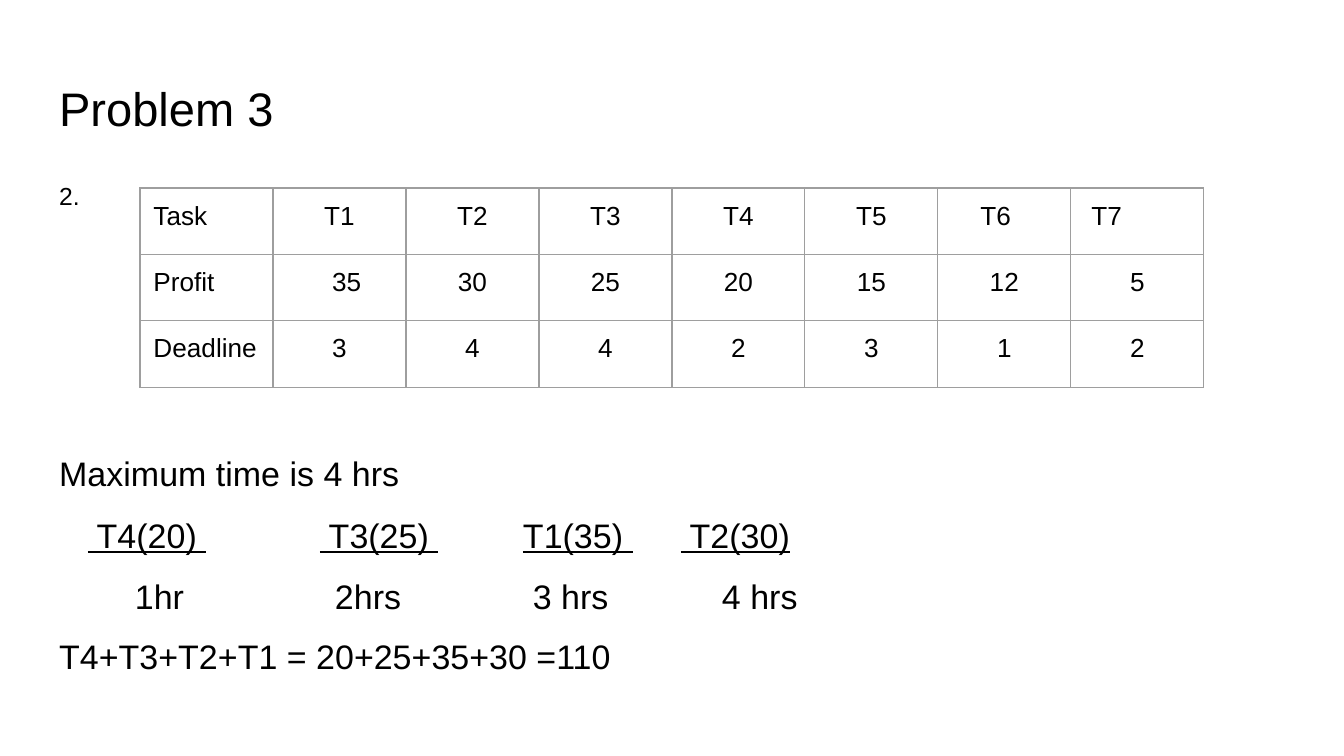
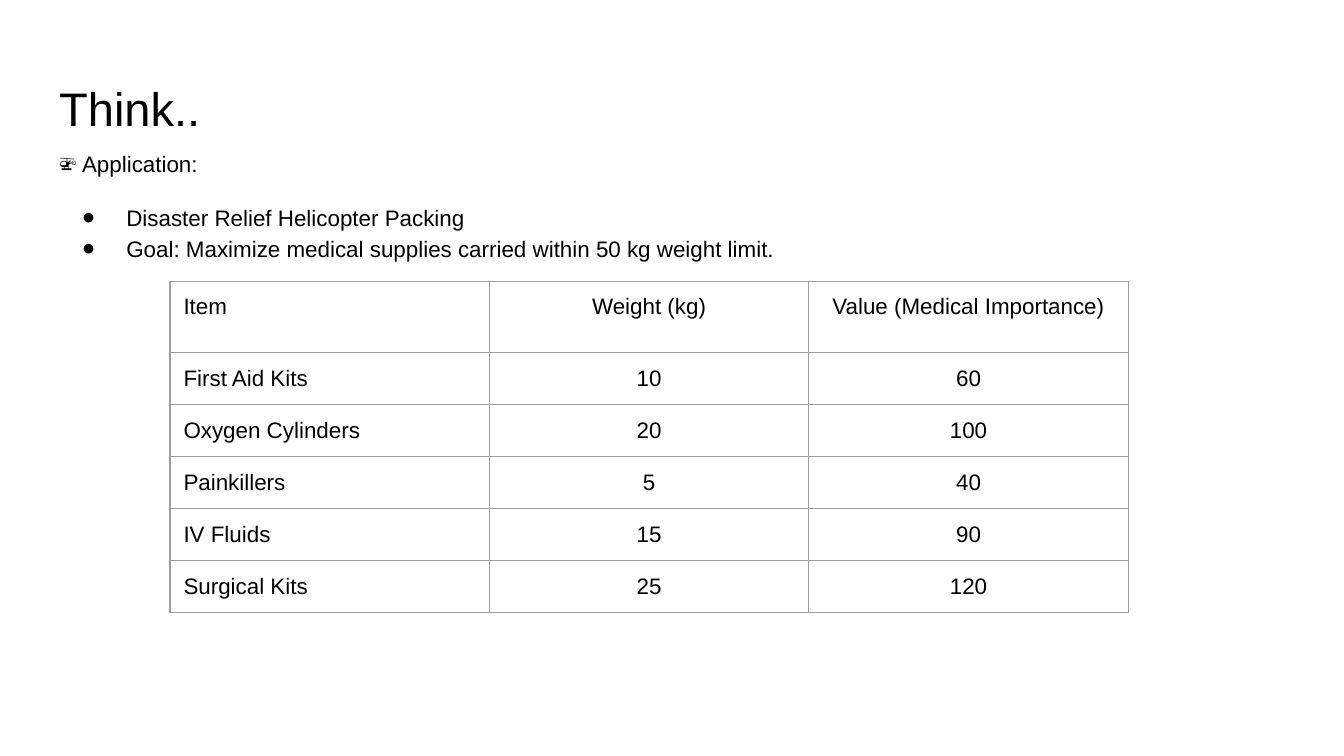
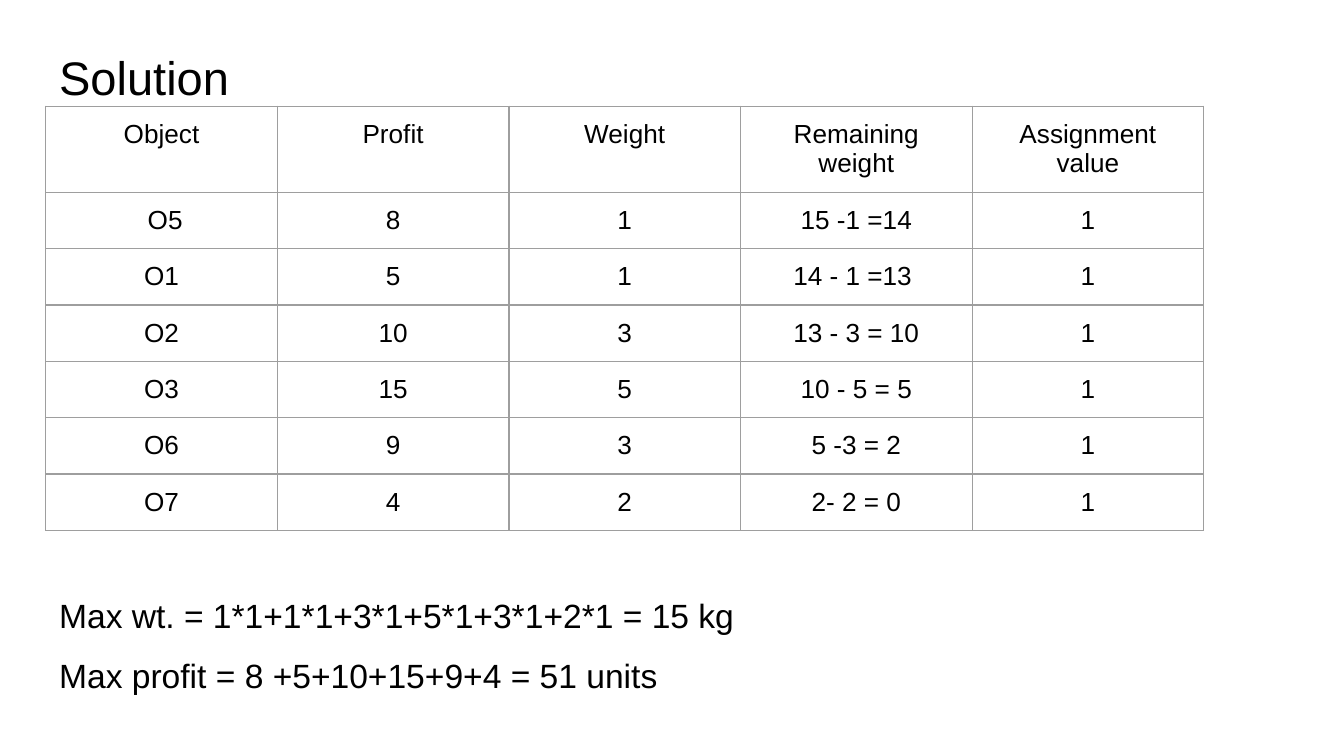
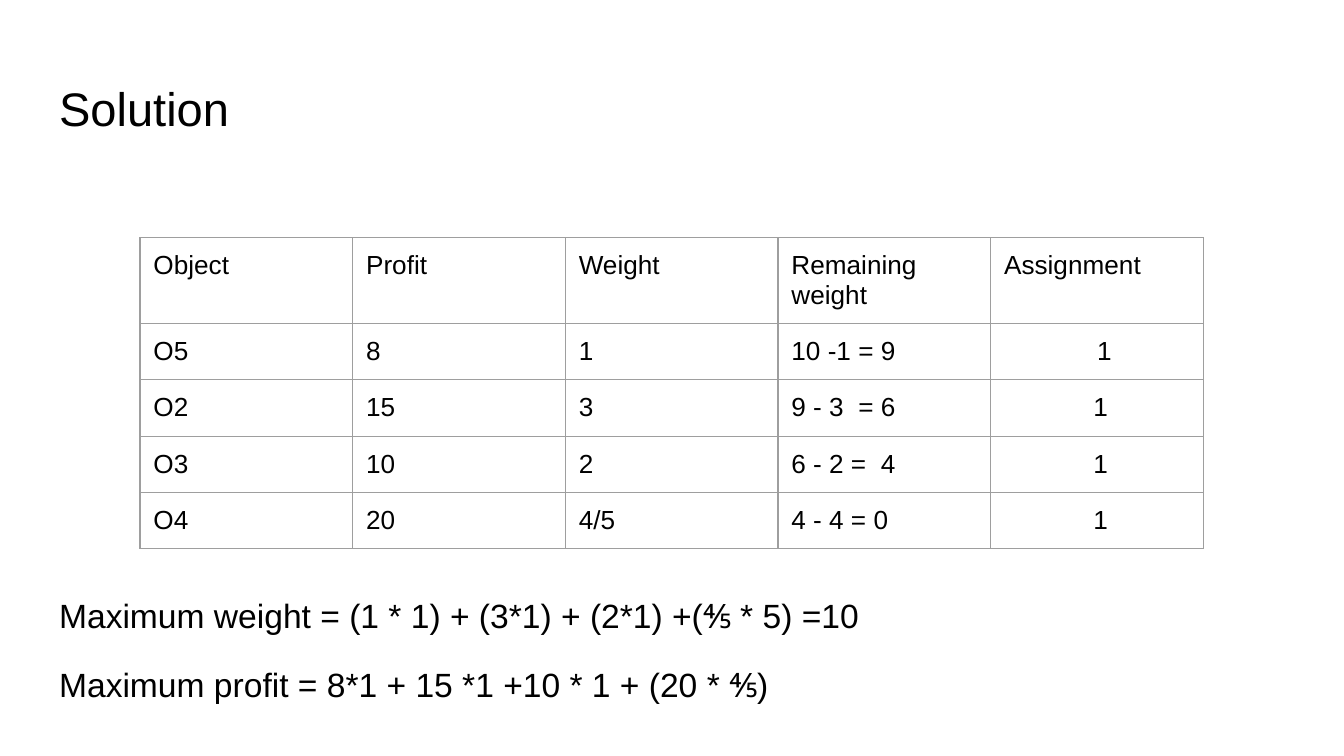
from dataclasses import dataclass, field
from typing import Any

import pptx
import pptx.dml.color
import pptx.enum.text
import pptx.oxml.ns
import pptx.util
from lxml import etree

Pt = pptx.util.Pt
ALIGN = pptx.enum.text.PP_ALIGN
FONT = "Arial"
COLORS = {"text": "000000", "border": "9E9E9E", "background": "FFFFFF"}
INSET = 7.2
LEFT, WIDTH = 24.5, 671.0
LABEL_WIDTH, LABEL_HEIGHT = 72, 24
TASK_TOP, HOUR_TOP = 275.6, 308.3


@dataclass
class Line:
    text: str
    size: float = 18
    spacing: float = 0.95
    before: float = 12
    after: float = 0
    bullet: bool = False


@dataclass
class Label:
    text: str
    left: float
    top: float
    underline: bool = False


@dataclass
class Grid:
    left: float
    top: float
    col_width: float
    row_heights: list[float]
    rows: list[list[str]]
    centered_cols: range
    size: float = 14
    shifted: dict[tuple[int, int], tuple[Any, float]] = field(default_factory=dict)


@dataclass
class Page:
    title: str
    title_top: float
    title_height: float
    body_top: float
    body_height: float
    lines: list[Line]
    grid: Grid
    text_inset: float = INSET
    labels: list[Label] = field(default_factory=list)


def rgb(name: str) -> Any:
    return pptx.dml.color.RGBColor.from_string(COLORS[name])


def sub(parent: Any, tag: str, **attrs: Any) -> Any:
    return etree.SubElement(parent, pptx.oxml.ns.qn(tag), {k: str(v) for k, v in attrs.items()})


def add_text(p: Any, text: str, size: float, underline: bool = False, align: Any = ALIGN.LEFT) -> None:
    p.alignment = align
    r = p.add_run()
    r.text = text
    r.font.name, r.font.size = FONT, Pt(size)
    r.font.color.rgb = rgb("text")
    if underline:
        r.font.underline = True


def set_frame(shape: Any, top: float, height: float, inset: float = INSET) -> Any:
    shape.left, shape.top, shape.width, shape.height = Pt(LEFT), Pt(top), Pt(WIDTH), Pt(height)
    tf = shape.text_frame
    tf.word_wrap = True
    tf.auto_size = pptx.enum.text.MSO_AUTO_SIZE.NONE
    tf.vertical_anchor = pptx.enum.text.MSO_ANCHOR.TOP
    tf.margin_left = tf.margin_right = tf.margin_bottom = Pt(INSET)
    tf.margin_top = Pt(inset)
    return tf


def add_line(p: Any, line: Line, first: bool) -> None:
    p.line_spacing = line.spacing
    p.space_before = Pt(0 if first else line.before)
    p.space_after = Pt(line.after)
    props = p._p.get_or_add_pPr()
    props.set("marL", str(Pt(36 if line.bullet else 0)))
    props.set("indent", str(Pt(-23.8 if line.bullet else 0)))
    if line.bullet:
        sub(sub(props, "a:buClr"), "a:srgbClr", val=COLORS["text"])
        sub(props, "a:buFont", typeface=FONT)
        sub(props, "a:buChar", char="●")
    else:
        sub(props, "a:buNone")
    add_text(p, line.text, line.size)


def add_label(s: Any, label: Label) -> None:
    tf = s.shapes.add_textbox(
        Pt(label.left), Pt(label.top), Pt(LABEL_WIDTH), Pt(LABEL_HEIGHT)).text_frame
    tf.word_wrap = True
    tf.margin_left = tf.margin_right = tf.margin_top = tf.margin_bottom = 0
    add_text(tf.paragraphs[0], label.text, 18.2, underline=label.underline)


def set_borders(cell: Any) -> None:
    props = cell._tc.get_or_add_tcPr()
    for i, side in enumerate(("a:lnL", "a:lnR", "a:lnT", "a:lnB")):
        ln = sub(props, side, w=Pt(0.75))
        sub(sub(ln, "a:solidFill"), "a:srgbClr", val=COLORS["border"])
        props.insert(i, ln)


def add_grid(s: Any, grid: Grid) -> None:
    """Draw a bordered table; shifted cells have their own alignment and left inset."""
    n_cols = len(grid.rows[0])
    table = s.shapes.add_table(
        len(grid.rows), n_cols, Pt(grid.left), Pt(grid.top),
        Pt(grid.col_width * n_cols), Pt(sum(grid.row_heights))).table
    table.first_row = table.horz_banding = False
    for col in table.columns:
        col.width = Pt(grid.col_width)
    for i, (texts, height) in enumerate(zip(grid.rows, grid.row_heights)):
        table.rows[i].height = Pt(height)
        for j, text in enumerate(texts):
            usual = ALIGN.CENTER if j in grid.centered_cols else ALIGN.LEFT
            align, inset = grid.shifted.get((i, j), (usual, INSET))
            cell = table.cell(i, j)
            cell.fill.background()
            cell.margin_right = cell.margin_top = cell.margin_bottom = Pt(INSET)
            cell.margin_left = Pt(inset)
            add_text(cell.text_frame.paragraphs[0], text, grid.size, align=align)
            set_borders(cell)


def add_page(prs: Any, page: Page) -> None:
    s = prs.slides.add_slide(prs.slide_layouts[1])
    s.background.fill.solid()
    s.background.fill.fore_color.rgb = rgb("background")
    title, body = s.placeholders
    tf = set_frame(title, page.title_top, page.title_height)
    add_text(tf.paragraphs[0], page.title, 25.2)
    tf = set_frame(body, page.body_top, page.body_height, page.text_inset)
    for i, line in enumerate(page.lines):
        p = tf.add_paragraph() if i else tf.paragraphs[0]
        add_line(p, line, first=i == 0)
    for label in page.labels:
        add_label(s, label)
    add_grid(s, page.grid)


PAGES = [
    Page(
        "Problem 3", 35.3, 45.4, 90.7, 321,
        [
            Line("2.", size=13.2),
            Line("Maximum time is 4 hrs", size=18.2, before=131),
            Line("T4+T3+T2+T1 = 20+25+35+30 =110", size=18.2, before=77.3),
        ],
        Grid(75, 100.7, 71.25, [35.6] * 3, [
            ["Task", "T1", "T2", "T3", "T4", "T5", "T6", "T7"],
            ["Profit", "35", "30", "25", "20", "15", "12", "5"],
            ["Deadline", "3", "4", "4", "2", "3", "1", "2"],
        ], range(1, 8), shifted={
            (0, 6): (ALIGN.LEFT, 22.8), (0, 7): (ALIGN.LEFT, 11), (1, 1): (ALIGN.CENTER, 15)}),
        labels=[
            Label(" T4(20) ", 47.1, TASK_TOP, underline=True),
            Label(" T3(25) ", 171.4, TASK_TOP, underline=True),
            Label("T1(35) ", 280.2, TASK_TOP, underline=True),
            Label(" T2(30)", 364.8, TASK_TOP, underline=True),
            Label("1hr", 72.3, HOUR_TOP),
            Label("2hrs", 179.5, HOUR_TOP),
            Label("3 hrs", 285.5, HOUR_TOP),
            Label("4 hrs", 386.8, HOUR_TOP),
        ],
    ),
    Page(
        "Think..", 35.3, 45.4, 71.3, 333.4,
        [
            Line("🚁 Application:", size=12, spacing=1.15),
            Line("Disaster Relief Helicopter Packing", size=12, spacing=1.15, bullet=True),
            Line("Goal: Maximize medical supplies carried within 50 kg weight limit.",
                 size=12, spacing=1.15, before=0, bullet=True),
        ],
        Grid(91.1, 150.6, 171.1, [38.1] + [25.2] * 5, [
            ["Item", "Weight (kg)", "Value (Medical Importance)"],
            ["First Aid Kits", "10", "60"],
            ["Oxygen Cylinders", "20", "100"],
            ["Painkillers", "5", "40"],
            ["IV Fluids", "15", "90"],
            ["Surgical Kits", "25", "120"],
        ], range(1, 3), size=12),
    ),
    Page(
        "Solution", 18.7, 30.2, 52.6, 335.5,
        [
            Line("Max wt. = 1*1+1*1+3*1+5*1+3*1+2*1 = 15 kg"),
            Line("Max profit = 8 +5+10+15+9+4 = 51 units", after=12),
        ],
        Grid(24.5, 56.9, 124.1, [46.1] + [30.2] * 6, [
            ["Object", "Profit", "Weight", "Remaining weight", "Assignment value"],
            [" O5", "8", "1", "15 -1 =14", "1"],
            ["O1", "5", "1", "14 - 1 =13 ", "1"],
            ["O2", "10", "3", "13 - 3 = 10", "1"],
            ["O3", "15", "5", "10 - 5 = 5", "1"],
            ["O6", "9", "3", "5 -3 = 2", "1"],
            ["O7", "4", "2", "2- 2 = 0", "1"],
        ], range(5)),
        text_inset=267.5,
    ),
    Page(
        "Solution", 35.3, 45.4, 90.7, 310.3,
        [
            Line("Maximum weight = (1 * 1) + (3*1) + (2*1) +(⅘ * 5) =10", spacing=1.15),
            Line("Maximum profit = 8*1 + 15 *1 +10 * 1 + (20 * ⅘)", spacing=1.15, after=12),
        ],
        Grid(75, 127.4, 113.95, [30.2] * 5, [
            ["Object", "Profit", "Weight", "Remaining weight", "Assignment"],
            ["O5", "8", "1", "10 -1 = 9", "1"],
            ["O2", "15", "3", "9 - 3  = 6", " 1"],
            ["O3", "10", "2", "6 - 2 =  4", " 1"],
            ["O4", "20", "4/5", "4 - 4 = 0", " 1"],
        ], range(4, 5), shifted={(0, 4): (ALIGN.LEFT, INSET), (1, 4): (ALIGN.CENTER, 15)}),
        text_inset=224.7,
    ),
]


def main() -> None:
    prs = pptx.Presentation()
    prs.slide_width, prs.slide_height = Pt(720), Pt(405)
    for page in PAGES:
        add_page(prs, page)
    prs.save("out.pptx")


if __name__ == "__main__":
    main()
